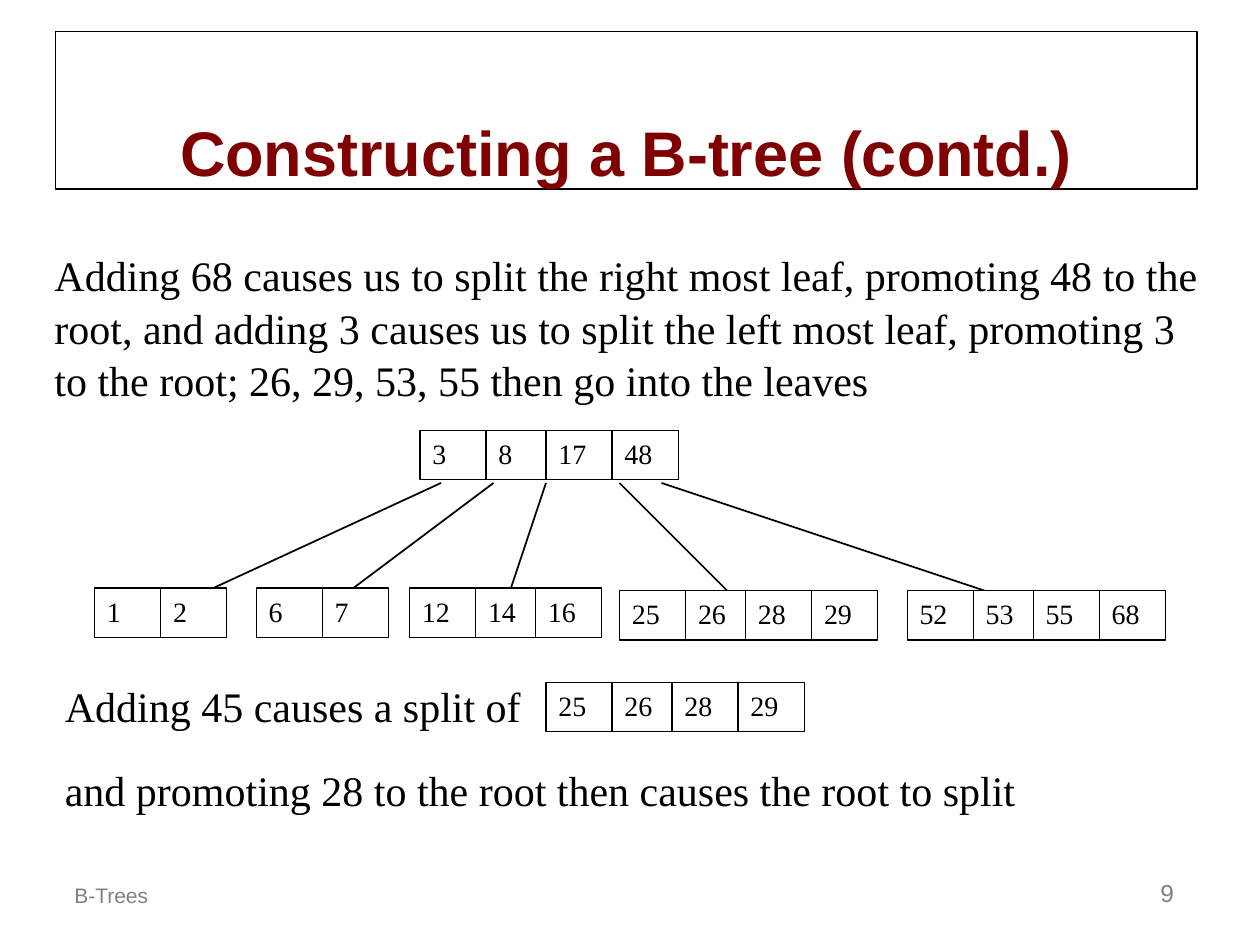
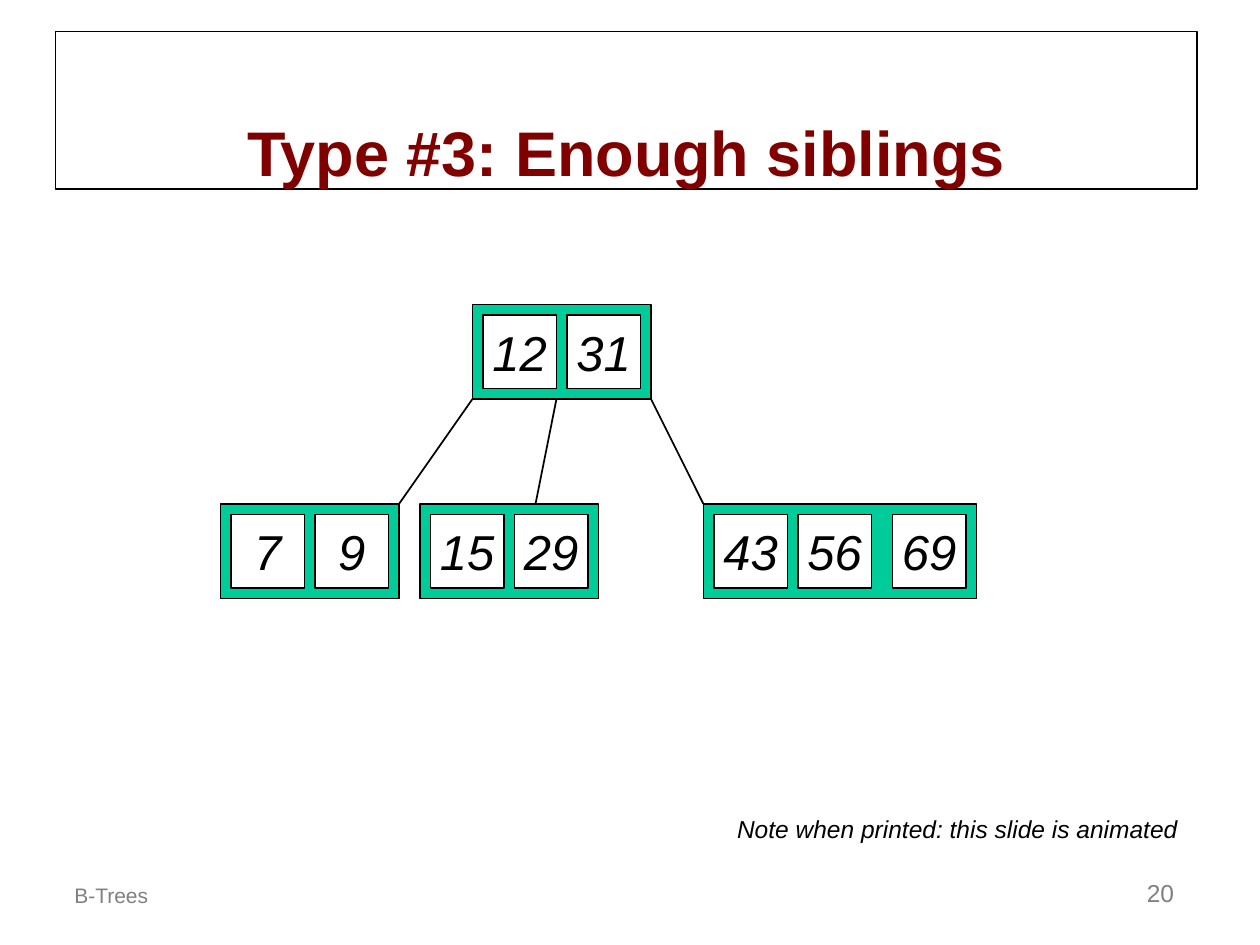
"""Two slides on B-trees, laid out on a grid of 120 columns by 90 rows."""
from dataclasses import dataclass

import pptx
import pptx.dml.color
import pptx.enum.shapes
import pptx.enum.text
import pptx.oxml
import pptx.util
from lxml import etree

COLS, ROWS = 120, 90
BLACK, WHITE, MAROON, GRAY, GREEN = "000000", "FFFFFF", "800000", "808080", "00CC99"
SANS, SERIF = "Arial", "Times New Roman"
THIN, NORMAL = 0.74, 0.99

ALIGN = pptx.enum.text.PP_ALIGN
ANCHOR = pptx.enum.text.MSO_ANCHOR
RECT = pptx.enum.shapes.MSO_SHAPE.RECTANGLE

prs = pptx.Presentation()
prs.slide_width = pptx.util.Inches(10)
prs.slide_height = pptx.util.Inches(7.5)


@dataclass
class Box:
    """A rectangle in grid columns and rows."""
    left: float
    top: float
    width: float
    height: float


@dataclass
class Node:
    """A tree node: its top left corner and its keys."""
    left: float
    top: float
    keys: list[int]


@dataclass
class Edge:
    """A line from a parent column to a child column."""
    start: float
    end: float


def x(col: float) -> int:
    """Length of a number of columns."""
    return round(prs.slide_width * col / COLS)


def y(row: float) -> int:
    """Length of a number of rows."""
    return round(prs.slide_height * row / ROWS)


def rgb(color: str) -> pptx.dml.color.RGBColor:
    """Colour from a hex string."""
    return pptx.dml.color.RGBColor.from_string(color)


def write(sp, text: str, *, size: float, font: str = SANS, color: str = BLACK,
          bold: bool = False, italic: bool = False, align=ALIGN.LEFT,
          anchor=ANCHOR.TOP, before: float = 0, spacing: float = 1,
          wrap: bool = True, inset: bool = True) -> None:
    """Put one formatted paragraph into a shape."""
    tf = sp.text_frame
    tf.word_wrap, tf.vertical_anchor = wrap, anchor
    tf.margin_left = tf.margin_right = pptx.util.Inches(0.1 if inset else 0)
    tf.margin_top = tf.margin_bottom = pptx.util.Inches(0.05 if inset else 0)
    p = tf.paragraphs[0]
    p.alignment, p.line_spacing = align, spacing
    p.space_before = pptx.util.Pt(before)
    r = p.add_run()
    r.text = text
    r.font.name, r.font.size = font, pptx.util.Pt(size)
    r.font.bold, r.font.italic = bold, italic
    r.font.color.rgb = rgb(color)


def add_text(s, box: Box, text: str, **style) -> None:
    """Add a text box."""
    sp = s.shapes.add_textbox(x(box.left), y(box.top), x(box.width), y(box.height))
    write(sp, text, **style)


def add_rect(s, box: Box, fill: str | None = WHITE, weight: float = NORMAL):
    """Add an outlined rectangle, filled unless fill is None."""
    sp = s.shapes.add_shape(RECT, x(box.left), y(box.top), x(box.width), y(box.height))
    sp.shadow.inherit = False
    if fill is None:
        sp.fill.background()
    else:
        sp.fill.solid()
        sp.fill.fore_color.rgb = rgb(fill)
    sp.line.color.rgb = rgb(BLACK)
    sp.line.width = pptx.util.Pt(weight)
    return sp


def add_edges(s, edges: list[Edge], top: float, bottom: float) -> None:
    """Draw the lines between two levels of a tree."""
    for edge in edges:
        line = s.shapes.add_connector(pptx.enum.shapes.MSO_CONNECTOR.STRAIGHT,
                                      x(edge.start), y(top), x(edge.end), y(bottom))
        line.line.color.rgb = rgb(BLACK)
        line.line.width = pptx.util.Pt(NORMAL)
        etree.SubElement(line._element.spPr, pptx.oxml.ns.qn("a:effectLst"))


def add_cells(s, node: Node) -> None:
    """Draw a node as a row of touching cells, in pairs 12 columns apart."""
    for i, key in enumerate(node.keys):
        pair, second = divmod(i, 2)
        left = node.left + 12 * pair + 6.3 * second
        sp = add_rect(s, Box(left, node.top, 6.3, 4.7), weight=THIN)
        write(sp, str(key), size=16, font=SERIF)


def add_framed_node(s, node: Node) -> None:
    """Draw a node as white keys on a green frame."""
    offsets = [1, 9, 18][:len(node.keys)]
    add_rect(s, Box(node.left, node.top, offsets[-1] + 8, 9), GREEN)
    for offset, key in zip(offsets, node.keys):
        sp = add_rect(s, Box(node.left + offset, node.top + 1, 7, 7))
        write(sp, str(key), size=28, italic=True, align=ALIGN.CENTER,
              anchor=ANCHOR.MIDDLE, wrap=False)


def add_slide(title: str, number: int):
    """Add a slide with its framed title and footer."""
    s = prs.slides.add_slide(prs.slide_layouts[6])
    add_text(s, Box(5.9, 81, 36, 6), "B-Trees", size=12, color=GRAY,
             anchor=ANCHOR.BOTTOM, before=7.5)
    add_text(s, Box(88, 81, 25, 6), str(number), size=14, color=GRAY,
             align=ALIGN.RIGHT, anchor=ANCHOR.BOTTOM, before=8.8)
    sp = add_rect(s, Box(5.3, 3, 108.7, 15), None, THIN)
    write(sp, title, size=36, color=MAROON, bold=True, align=ALIGN.CENTER,
          anchor=ANCHOR.BOTTOM, inset=False)
    return s


def build_construction() -> None:
    """Slide on splitting leaves while keys are added."""
    s = add_slide("Constructing a B-tree (contd.)", 9)
    add_edges(s, [Edge(42, 16), Edge(47, 31), Edge(52, 48), Edge(59, 71),
                  Edge(63, 99)], 46, 58)
    body = dict(size=24, font=SERIF, before=15, spacing=1.04)
    add_text(s, Box(4, 23, 112, 15.6),
             "Adding 68 causes us to split the right most leaf, promoting 48 to "
             "the root, and adding 3 causes us to split the left most leaf, "
             "promoting 3 to the root; 26, 29, 53, 55 then go into the leaves",
             **body)
    full_leaf = [25, 26, 28, 29]
    for node in [Node(40, 41, [3, 8, 17, 48]),
                 Node(9, 56, [1, 2]),
                 Node(24.4, 56, [6, 7]),
                 Node(39, 56, [12, 14, 16]),
                 Node(59, 56.25, full_leaf),
                 Node(86.4, 56.25, [52, 53, 55, 68]),
                 Node(52, 65, full_leaf)]:
        add_cells(s, node)
    add_text(s, Box(5, 64, 48, 6), "Adding 45 causes a split of", **body)
    add_text(s, Box(5, 72, 109, 6),
             "and promoting 28 to the root then causes the root to split", **body)


def build_siblings() -> None:
    """Slide on a deletion where a sibling has keys to spare."""
    s = add_slide("Type #3: Enough siblings", 20)
    for node in [Node(45, 29, [12, 31]),
                 Node(21, 48, [7, 9]),
                 Node(40, 48, [15, 29]),
                 Node(67, 48, [43, 56, 69])]:
        add_framed_node(s, node)
    add_edges(s, [Edge(45, 38), Edge(53, 51), Edge(62, 67)], 38, 48)
    add_text(s, Box(69, 76.9, 44.4, 4.1), "Note when printed: this slide is animated",
             size=14, italic=True, align=ALIGN.CENTER, anchor=ANCHOR.MIDDLE, wrap=False)


build_construction()
build_siblings()
prs.save("out.pptx")
